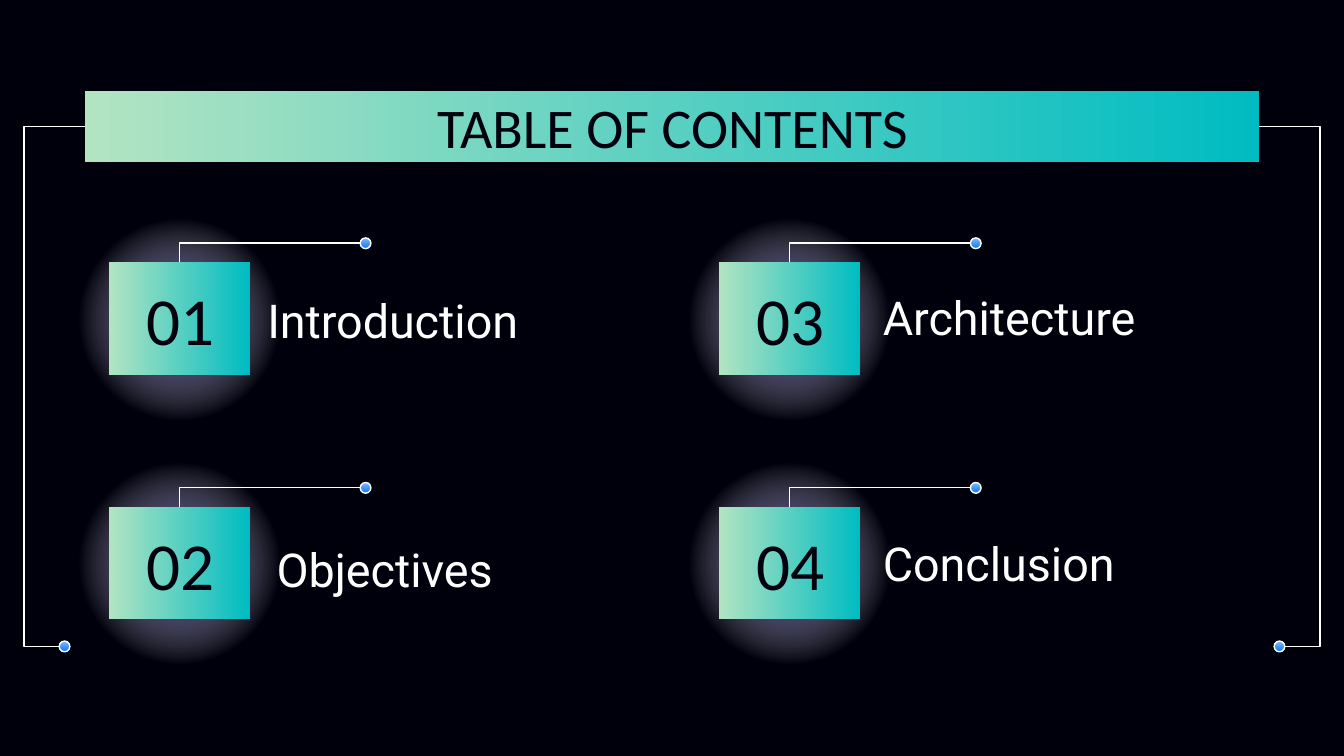
from lxml import etree
from pptx import Presentation
from pptx.dml.color import RGBColor
from pptx.enum.shapes import MSO_CONNECTOR, MSO_SHAPE
from pptx.enum.text import MSO_ANCHOR, MSO_AUTO_SIZE, PP_ALIGN
from pptx.oxml.ns import qn
from pptx.util import Inches, Pt

RECTANGLE, OVAL = MSO_SHAPE.RECTANGLE, MSO_SHAPE.OVAL
ELBOW = MSO_CONNECTOR.ELBOW
TOP, MIDDLE = MSO_ANCHOR.TOP, MSO_ANCHOR.MIDDLE
LEFT, CENTER = PP_ALIGN.LEFT, PP_ALIGN.CENTER
NO_AUTOFIT = MSO_AUTO_SIZE.NONE

COLORS = {
    "night": "00000D",
    "white": "FFFFFF",
    "teal": "00BCC2",
    "mint": "B2E4C2",
    "indigo": "170F8D",
    "sky": "82BCFE",
    "blue": "0C77F1",
}
# Stops are (position in percent, colour name, opacity in percent).
GLOW_STOPS = [(0, "indigo", 100), (61, "white", 0), (100, "white", 0)]
BAR_STOPS = [(0, "teal", 100), (100, "mint", 100)]
DOT_STOPS = [(0, "sky", 100), (100, "blue", 100)]

DOT_SIZE = 0.08
TILE_WIDTH, TILE_HEIGHT = 1.05, 0.84
COLUMN_LEFTS = [0.81, 5.35]
ROW_TOPS = [1.95, 3.77]

# Topic, column, row, left and top of the label
TOPICS = [
    ("Introduction", 0, 0, 1.89, 2.09),
    ("Objectives", 0, 1, 1.96, 3.94),
    ("Architecture", 1, 0, 6.47, 2.07),
    ("Conclusion", 1, 1, 6.47, 3.9),
]


def rgb(name):
    return RGBColor.from_string(COLORS[name])


def fill_gradient(shape, stops, angle=None):
    """Fill with a linear gradient, or a radial one when no angle is given."""
    gradient = etree.Element(qn("a:gradFill"), rotWithShape="1")
    stop_list = etree.SubElement(gradient, qn("a:gsLst"))
    for position, name, opacity in stops:
        stop = etree.SubElement(stop_list, qn("a:gs"), pos=str(position * 1000))
        color = etree.SubElement(stop, qn("a:srgbClr"), val=COLORS[name])
        if opacity < 100:
            etree.SubElement(color, qn("a:alpha"), val=str(opacity * 1000))
    if angle is None:
        radial = etree.SubElement(gradient, qn("a:path"), path="circle")
        etree.SubElement(radial, qn("a:fillToRect"),
                         l="50000", t="50000", r="50000", b="50000")
    else:
        etree.SubElement(gradient, qn("a:lin"), ang=str(angle * 60000), scaled="0")
    shape._element.spPr.find(qn("a:prstGeom")).addnext(gradient)


def add_gradient_shape(page, kind, left, top, width, height, stops, angle=None):
    shape = page.shapes.add_shape(
        kind, Inches(left), Inches(top), Inches(width), Inches(height))
    shape.shadow.inherit = False
    fill_gradient(shape, stops, angle)
    shape.line.fill.background()
    return shape


def add_dot(page, left, center_y):
    dot = add_gradient_shape(page, OVAL, left, center_y - DOT_SIZE / 2,
                             DOT_SIZE, DOT_SIZE, DOT_STOPS, 90)
    dot.line.color.rgb = rgb("white")
    dot.line.width = Pt(0.75)


def add_elbow(page, start, end):
    elbow = page.shapes.add_connector(
        ELBOW, *[Inches(value) for value in (*start, *end)])
    elbow.line.color.rgb = rgb("white")
    elbow.line.width = Pt(0.75)
    etree.SubElement(elbow._element.spPr, qn("a:effectLst"))
    return elbow


def add_callout(page, tile_left, tile_top):
    """Rise from the middle of a tile and turn right to a dot."""
    middle, dot_left, y = tile_left + TILE_WIDTH / 2, tile_left + 1.87, tile_top - 0.14
    add_dot(page, dot_left, y)
    elbow = add_elbow(page, (dot_left, y), (middle, tile_top))
    elbow._element.spPr.find(qn("a:prstGeom")).set("prst", "bentConnector2")


def add_bracket(page, bar_edge, dot_edge, dot_left):
    """Run from the title bar round the slide's side to a dot below."""
    add_dot(page, dot_left, 4.81)
    elbow = add_elbow(page, (bar_edge, 0.94), (dot_edge, 4.81))
    properties = elbow._element.spPr
    properties.find(qn("a:xfrm")).set("rot", str(180 * 60000))
    adjustments = properties.find(qn("a:prstGeom")).get_or_add_avLst()
    etree.SubElement(adjustments, qn("a:gd"), name="adj1", fmla="val -137000")


def write_text(box, text, font, size, color, align, anchor):
    frame = box.text_frame
    frame.word_wrap = True
    frame.auto_size = NO_AUTOFIT
    frame.vertical_anchor = anchor
    frame.margin_left = frame.margin_right = Inches(0.1)
    frame.margin_top = frame.margin_bottom = Inches(0.1)
    para = frame.paragraphs[0]
    para.alignment = align
    span = para.add_run()
    span.text = text
    span.font.name = font
    span.font.size = Pt(size)
    span.font.color.rgb = rgb(color)


def add_text(page, text, left, top, width, font, size, color, align):
    box = page.shapes.add_textbox(
        Inches(left), Inches(top), Inches(width), Inches(0.58))
    write_text(box, text, font, size, color, align, MIDDLE)


def add_title(page, text):
    title = page.shapes.title
    title.left, title.top = Inches(0.79), Inches(0.59)
    title.width, title.height = Inches(8.43), Inches(0.63)
    write_text(title, text, "Calibri", 30, "night", CENTER, TOP)
    page.shapes._spTree.append(title._element)  # in front of the bar


def main():
    deck = Presentation()
    deck.slide_width = Inches(10)
    deck.slide_height = Inches(10) * 9 // 16
    page = deck.slides.add_slide(deck.slide_layouts[5])
    page.background.fill.solid()
    page.background.fill.fore_color.rgb = rgb("night")

    tiles = [(left, top) for left in COLUMN_LEFTS for top in ROW_TOPS]
    for left, top in tiles:
        add_gradient_shape(page, OVAL, left - 0.36, top - 0.43, 1.77, 1.71, GLOW_STOPS)
    for left, top in tiles:
        add_gradient_shape(page, RECTANGLE, left, top, TILE_WIDTH, TILE_HEIGHT,
                           BAR_STOPS, 180)
    add_gradient_shape(page, RECTANGLE, 0.63, 0.68, 8.74, 0.53, BAR_STOPS, 180)

    for number, (topic, column, row, left, top) in enumerate(TOPICS, start=1):
        tile_left, tile_top = COLUMN_LEFTS[column], ROW_TOPS[row]
        add_text(page, topic, left, top, 2.69, "Roboto", 25, "white", LEFT)
        add_text(page, f"{number:02}", tile_left + 0.09, tile_top + 0.13, 0.88,
                 "Calibri", 36, "night", CENTER)
        add_callout(page, tile_left, tile_top)

    add_bracket(page, 0.63, 0.44, 0.44)
    add_bracket(page, 9.37, 9.56, 9.48)
    add_title(page, "TABLE OF CONTENTS")
    deck.save("out.pptx")


if __name__ == "__main__":
    main()
